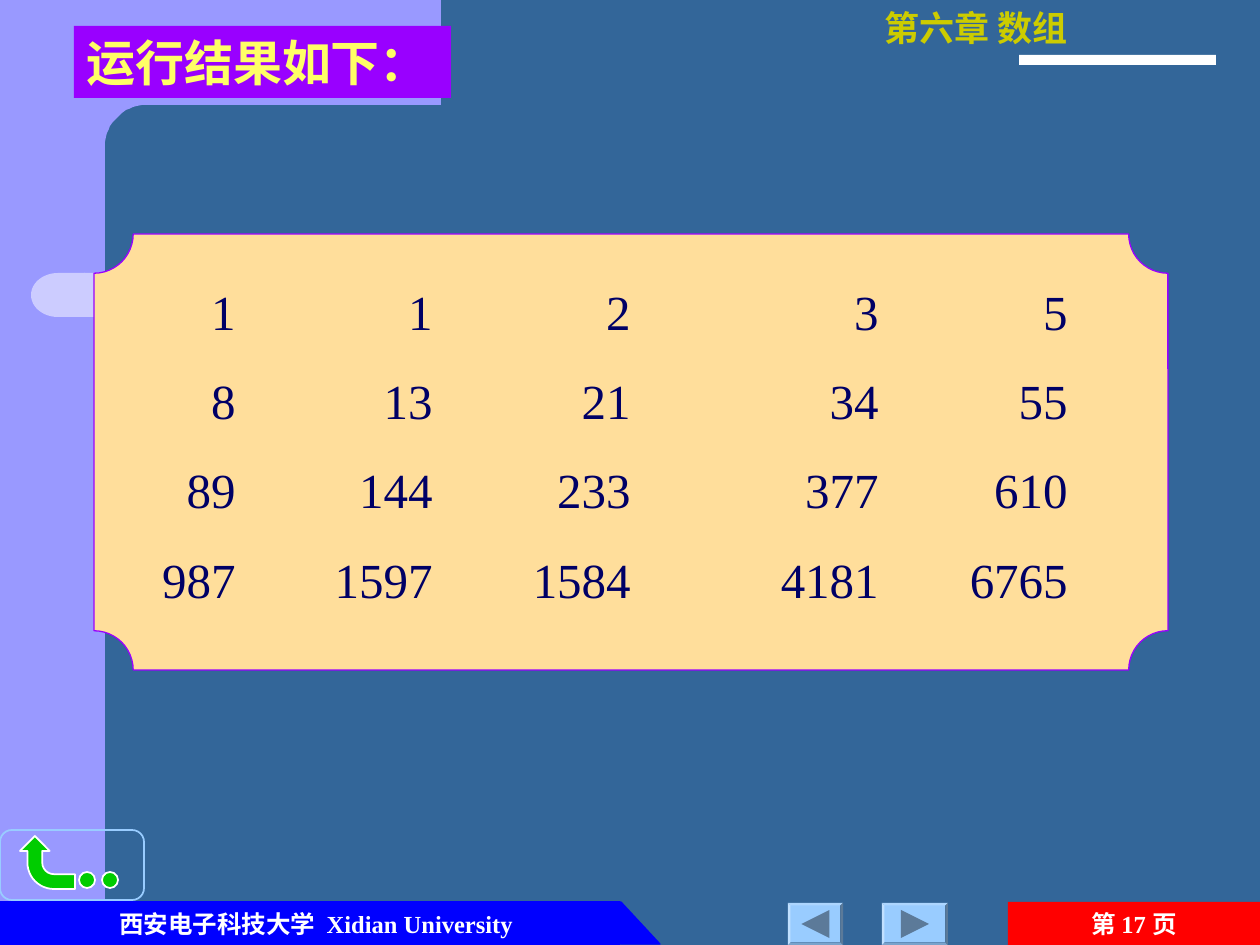
import math
from lxml import etree
from pptx import Presentation
from pptx import util as u
from pptx.dml.color import RGBColor
from pptx.enum import shapes, text
from pptx.oxml import ns

PX = u.Inches(1) / 126
KIND = shapes.MSO_SHAPE
ALIGN = text.PP_ALIGN

SEA = RGBColor(0x33, 0x66, 0x99)
LAVENDER = RGBColor(0x99, 0x99, 0xFF)
PALE_LAVENDER = RGBColor(0xCC, 0xCC, 0xFF)
BLUE = RGBColor(0x00, 0x00, 0xFF)
RED = RGBColor(0xFF, 0x00, 0x00)
SKY = RGBColor(0x99, 0xCC, 0xFF)
STEEL = RGBColor(0x5C, 0x7A, 0x99)
CREAM = RGBColor(0xFF, 0xDE, 0x9B)
PURPLE = RGBColor(0x99, 0x00, 0xFF)
NAVY = RGBColor(0x00, 0x00, 0x66)
YELLOW = RGBColor(0xFF, 0xFF, 0x66)
OLIVE = RGBColor(0xCC, 0xCC, 0x00)
GREEN = RGBColor(0x00, 0xCC, 0x00)
WHITE = RGBColor(0xFF, 0xFF, 0xFF)
SERIF = "Times New Roman"
SANS = "Noto Sans CJK SC"

presentation = Presentation()
presentation.slide_width = u.Inches(10)
presentation.slide_height = u.Inches(7.5)
slide = presentation.slides.add_slide(presentation.slide_layouts[6])
slide.background.fill.solid()
slide.background.fill.fore_color.rgb = SEA


def add_block(kind, box, fill=None, line=None, line_width=0.75, adjustments=()):
    shape = slide.shapes.add_shape(kind, *[round(value * PX) for value in box])
    shape.shadow.inherit = False
    for index, value in enumerate(adjustments):
        shape.adjustments[index] = value
    if fill is None:
        shape.fill.background()
    else:
        shape.fill.solid()
        shape.fill.fore_color.rgb = fill
    if line is None:
        shape.line.fill.background()
    else:
        shape.line.color.rgb = line
        shape.line.width = u.Pt(line_width)
    return shape


def add_run(paragraph, words, size, color, font, bold=True):
    run = paragraph.add_run()
    run.text = words
    run.font.size = u.Pt(size)
    run.font.bold = bold
    run.font.color.rgb = color
    run.font.name = font
    east_asian = etree.SubElement(run.font._element, ns.qn("a:ea"))
    east_asian.set("typeface", SANS)


add_block(KIND.RECTANGLE, (0, 0, 105, 945), LAVENDER)

corner = [
    (round(146 - 41 * math.sin(math.radians(angle))),
     round(146 - 41 * math.cos(math.radians(angle))))
    for angle in range(0, 91, 6)
]
builder = slide.shapes.build_freeform(441, 0, scale=PX)
builder.add_line_segments([(441, 105), *corner, (105, 161), (63, 161), (63, 0)], close=True)
header_band = builder.convert_to_shape()
header_band.shadow.inherit = False
header_band.fill.solid()
header_band.fill.fore_color.rgb = LAVENDER
header_band.line.fill.background()

add_block(KIND.ROUNDED_RECTANGLE, (84, 273, 966, 44), PALE_LAVENDER, adjustments=[0])
tab_end = add_block(KIND.FLOWCHART_DELAY, (31, 273, 54, 44), PALE_LAVENDER)
tab_end.rotation = 180

add_block(KIND.RECTANGLE, (0, 902, 620, 42), BLUE, BLUE)
add_block(KIND.RIGHT_TRIANGLE, (621, 902, 39, 42), BLUE, BLUE)
page_box = add_block(KIND.RECTANGLE, (1008, 902, 252, 43), RED)

for left, width, rotation in [(882, 66, 90), (788, 55, 270)]:
    add_block(KIND.BEVEL, (left, 903, width, 42), SKY, adjustments=[0.06])
    triangle = add_block(KIND.ISOSCELES_TRIANGLE, (left + width / 2 - 14, 910, 28, 28), STEEL)
    triangle.rotation = rotation

add_block(KIND.PLAQUE, (94, 234, 1074, 436), CREAM, PURPLE, adjustments=[0.09])

columns = [
    (113, ["1", "8", "89", "987"]),
    (310, ["1", "13", "144", "1597"]),
    (508, ["2", "21", "233", "1584"]),
    (756, ["3", "34", "377", "4181"]),
    (945, ["5", "55", "610", "6765"]),
]
for left, numbers in columns:
    column_box = slide.shapes.add_textbox(*[round(value * PX) for value in (left, 275, 135, 340)])
    frame = column_box.text_frame
    frame.word_wrap = True
    for index, number in enumerate(numbers):
        paragraph = frame.add_paragraph() if index else frame.paragraphs[0]
        paragraph.alignment = ALIGN.RIGHT
        paragraph.line_spacing = u.Pt(33.6)
        if index:
            paragraph.space_before = u.Pt(17.5)
        add_run(paragraph, number, 28, NAVY, SERIF, bold=False)

title_box = add_block(KIND.RECTANGLE, (74, 26, 377, 72), PURPLE)
footer_box = slide.shapes.add_textbox(*[round(value * PX) for value in (37, 902, 558, 43)])
chapter_box = slide.shapes.add_textbox(*[round(value * PX) for value in (872, 0, 470, 55)])

labels = [
    (title_box, ALIGN.LEFT, 28, YELLOW, [("运行结果如下：", SERIF)]),
    (footer_box, ALIGN.CENTER, 14, WHITE, [("西安电子科技大学  Xidian University", SERIF)]),
    (page_box, ALIGN.CENTER, 14, WHITE, [("第 ", SANS), ("17 ", SERIF), ("页", SANS)]),
    (chapter_box, ALIGN.LEFT, 20, OLIVE, [("第六章 数组", SANS)]),
]
for shape, alignment, size, color, runs in labels:
    frame = shape.text_frame
    frame.word_wrap = shape is not chapter_box
    frame.vertical_anchor = text.MSO_ANCHOR.MIDDLE
    paragraph = frame.paragraphs[0]
    paragraph.alignment = alignment
    for words, font in runs:
        add_run(paragraph, words, size, color, font)

add_block(KIND.RECTANGLE, (1019, 55, 197, 10), WHITE)

add_block(KIND.ROUNDED_RECTANGLE, (0, 830, 144, 70), line=SKY, line_width=1, adjustments=[0.17])
return_arrow = add_block(KIND.BENT_ARROW, (21, 835, 53, 55), GREEN, WHITE, 1,
                         [0.28, 0.28, 0.28, 0.5])
return_arrow.rotation = 270
for left in (79, 102):
    add_block(KIND.OVAL, (left, 872, 16, 16), GREEN, WHITE, 1)

presentation.save("out.pptx")
